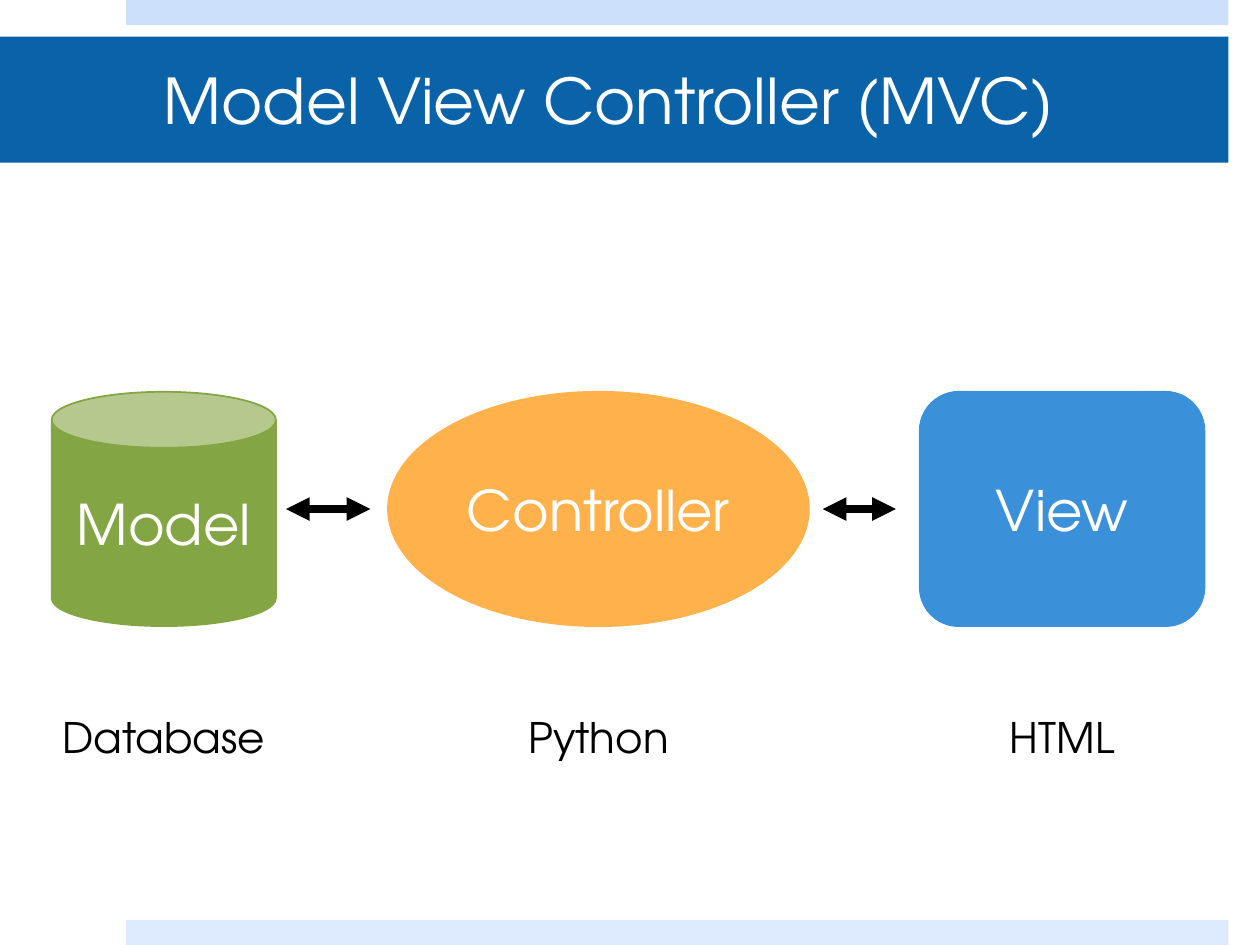
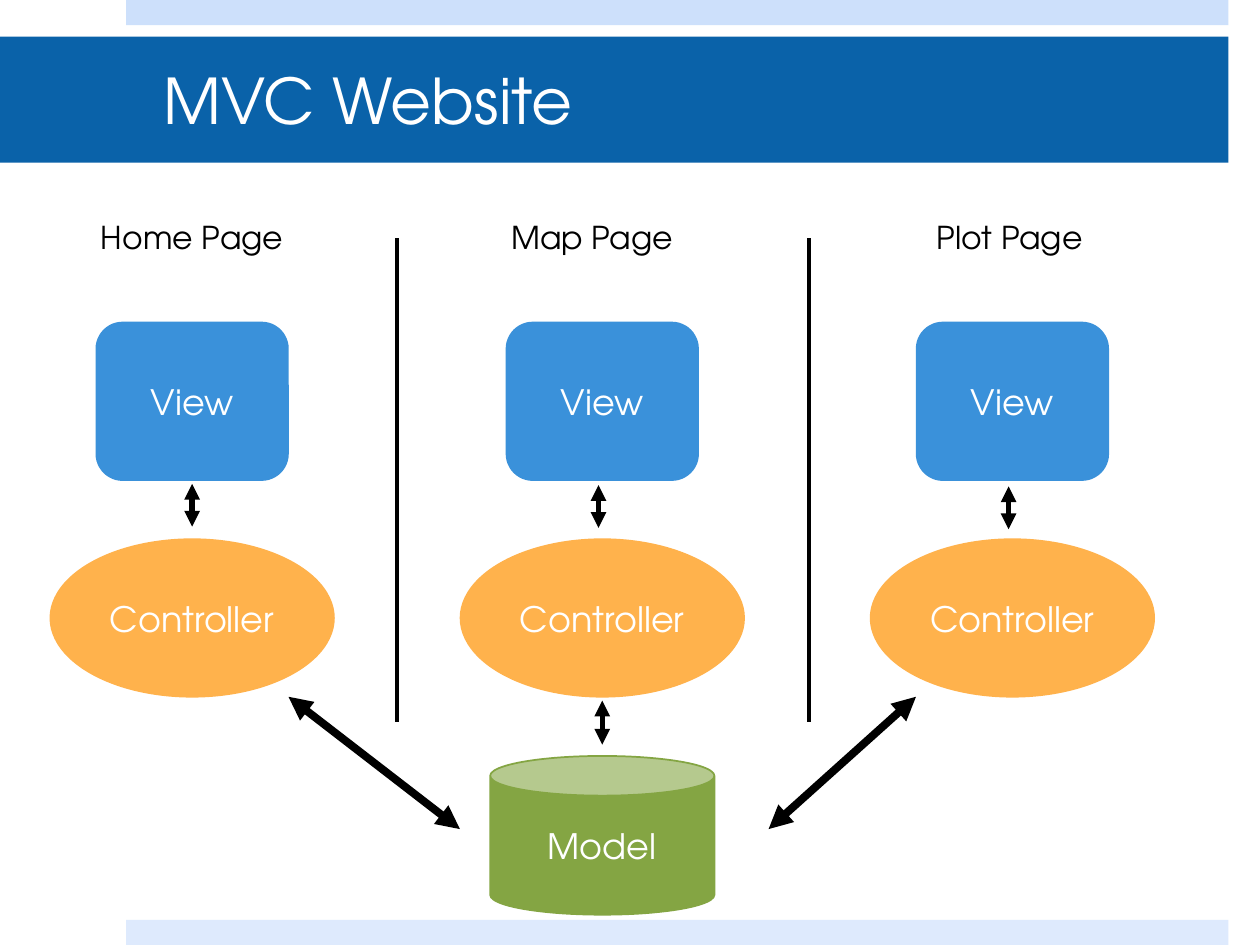
import dataclasses

import pptx
import pptx.dml.color
import pptx.enum.shapes
import pptx.enum.text
import pptx.oxml
import pptx.oxml.ns
import pptx.util

SHAPE = pptx.enum.shapes.MSO_SHAPE
ANCHOR = pptx.enum.text.MSO_ANCHOR
ALIGN = pptx.enum.text.PP_ALIGN

FONT = "TeX Gyre Adventor"
COLORS = {
    "top band": "CDE0FB",
    "bottom band": "DEEAFD",
    "title": "0A62A9",
    "Model": "84A543",
    "Controller": "FFB24C",
    "View": "3A91DA",
    "light": "FFFFFF",
    "dark": "000000",
}
ROLE_SHAPES = {
    "Model": SHAPE.CAN,
    "Controller": SHAPE.OVAL,
    "View": SHAPE.ROUNDED_RECTANGLE,
}

# The slide is a grid of 10 columns by 7.5 rows of square cells.
COLUMNS, ROWS = 10, 7.5
CELL = pptx.util.Inches(1)
BODY_WIDTH = 9.75


@dataclasses.dataclass
class Box:
    """An area of the slide, in grid cells."""
    left: float
    top: float
    width: float
    height: float

    @property
    def right(self):
        return self.left + self.width

    @property
    def bottom(self):
        return self.top + self.height

    @property
    def center(self):
        return self.left + self.width / 2

    @property
    def middle(self):
        return self.top + self.height / 2

    def emu(self):
        return [cells(n) for n in (self.left, self.top, self.width, self.height)]


def cells(count):
    return round(count * CELL)


def color(name):
    return pptx.dml.color.RGBColor.from_string(COLORS[name])


def write(frame, text, size, color_name, align):
    frame.vertical_anchor = ANCHOR.MIDDLE
    paragraph = frame.paragraphs[0]
    paragraph.text = text
    paragraph.alignment = align
    paragraph.font.name = FONT
    paragraph.font.size = pptx.util.Pt(size)
    paragraph.font.color.rgb = color(color_name)


def add_filled(slide, kind, box, color_name):
    shape = slide.shapes.add_shape(kind, *box.emu())
    shape.shadow.inherit = False
    shape.fill.solid()
    shape.fill.fore_color.rgb = color(color_name)
    shape.line.fill.background()
    return shape


def add_role(slide, role, box, size):
    """Draw the model, view or controller in its own outline and colour."""
    shape = add_filled(slide, ROLE_SHAPES[role], box, role)
    shape.line.color.rgb = color(role)
    shape.line.width = pptx.util.Pt(1)
    write(shape.text_frame, role, size, "light", ALIGN.CENTER)


def add_label(slide, text, center, top, height, size):
    width = 2
    label = slide.shapes.add_textbox(*Box(center - width / 2, top, width, height).emu())
    label.text_frame.word_wrap = False
    write(label.text_frame, text, size, "dark", ALIGN.CENTER)


def add_line(slide, start, end, weight, arrows=True):
    line = slide.shapes.add_connector(
        pptx.enum.shapes.MSO_CONNECTOR.STRAIGHT, *map(cells, start + end))
    line.line.color.rgb = color("dark")
    line.line.width = pptx.util.Pt(weight)
    if arrows:
        outline = line.line._get_or_add_ln()
        for tag in ("a:headEnd", "a:tailEnd"):
            outline.append(pptx.oxml.parse_xml(
                f'<{tag} {pptx.oxml.ns.nsdecls("a")} type="triangle"/>'))
    line._element.spPr.append(pptx.oxml.parse_xml(
        f'<a:effectLst {pptx.oxml.ns.nsdecls("a")}/>'))


def add_framed_slide(deck, heading):
    """Add a slide with the two pale bands and the title bar."""
    slide = deck.slides.add_slide(deck.slide_layouts[5])
    band = 0.2
    for name, top in (("top band", 0), ("bottom band", ROWS - band)):
        add_filled(slide, SHAPE.RECTANGLE, Box(1, top, BODY_WIDTH - 1, band), name)

    title = slide.shapes.title
    title.left, title.top, title.width, title.height = Box(0, 0.29, BODY_WIDTH, 1).emu()
    title.fill.solid()
    title.fill.fore_color.rgb = color("title")
    frame = title.text_frame
    frame.auto_size = pptx.enum.text.MSO_AUTO_SIZE.NONE
    frame.margin_left, frame.margin_right = cells(1.3), cells(0.3)
    frame.margin_top = frame.margin_bottom = cells(0.05)
    write(frame, heading, 36, "light", ALIGN.LEFT)
    return slide


def draw_chain(slide, area):
    """Set the three roles side by side, each with its technology below."""
    role_height = 1.86
    stages = [
        ("Model", "Database", 0, 1.78),
        ("Controller", "Python", 2.67, 3.34),
        ("View", "HTML", 6.89, 2.26),
    ]
    for role, technology, offset, width in stages:
        box = Box(area.left + offset, area.top, width, role_height)
        add_role(slide, role, box, 32)
        add_label(slide, technology, box.center, area.bottom - 0.5, 0.5, 24)
    middle = area.top + role_height / 2
    for start, end in ((1.86, 2.53), (6.12, 6.7)):
        add_line(slide, (area.left + start, middle), (area.left + end, middle), 4.5)


def draw_page(slide, area, name, name_shift, arrow_shift, arrow_drop):
    """Stack a page's name, view and controller in one column."""
    role_height, view_width = 1.25, 1.52
    view = Box(area.center - view_width / 2, area.top + 0.88, view_width, role_height)
    controller = Box(area.left, area.bottom - role_height, area.width, role_height)
    add_label(slide, name, area.center + name_shift, area.top, 0.4, 18)
    add_role(slide, "View", view, 20)
    add_role(slide, "Controller", controller, 20)
    x, y = area.center + arrow_shift, view.bottom + 0.03 + arrow_drop
    add_line(slide, (x, y + 0.34), (x, y), 3)


def draw_website(slide, area):
    """Set three pages side by side over the model that they share."""
    page_width, page_height = 2.25, 3.85
    pitch = (area.width - page_width) / 2
    pages = [
        ("Home Page", 0, 0, 0),
        ("Map Page", -0.08, -0.03, 0.01),
        ("Plot Page", -0.02, -0.03, 0.02),
    ]
    for index, page in enumerate(pages):
        column = Box(area.left + index * pitch, area.top, page_width, page_height)
        draw_page(slide, column, *page)
    for index in range(len(pages) - 1):
        x = area.left + 2.75 + index * 3.27
        add_line(slide, (x, area.top + 0.21), (x, area.top + 4.05), 2, arrows=False)

    model = Box(area.center - 0.89, area.bottom - 1.26, 1.78, 1.26)
    add_role(slide, "Model", model, 20)
    pages_end = area.top + page_height
    view_edge = 1.89
    add_line(slide, (area.left + view_edge, pages_end),
             (model.left - 0.24, model.top + 0.58), 4.5)
    add_line(slide, (area.right - view_edge, pages_end),
             (model.right + 0.43, model.top + 0.58), 4.5)
    add_line(slide, (model.center, model.top - 0.09),
             (model.center, pages_end + 0.03), 3)


def main():
    deck = pptx.Presentation()
    deck.slide_width, deck.slide_height = cells(COLUMNS), cells(ROWS)
    draw_chain(add_framed_slide(deck, "Model View Controller (MVC)"),
               Box(0.41, 3.11, 9.15, 2.99))
    draw_website(add_framed_slide(deck, "MVC Website"),
                 Box(0.4, 1.68, 8.76, 5.58))
    deck.save("out.pptx")


if __name__ == "__main__":
    main()
